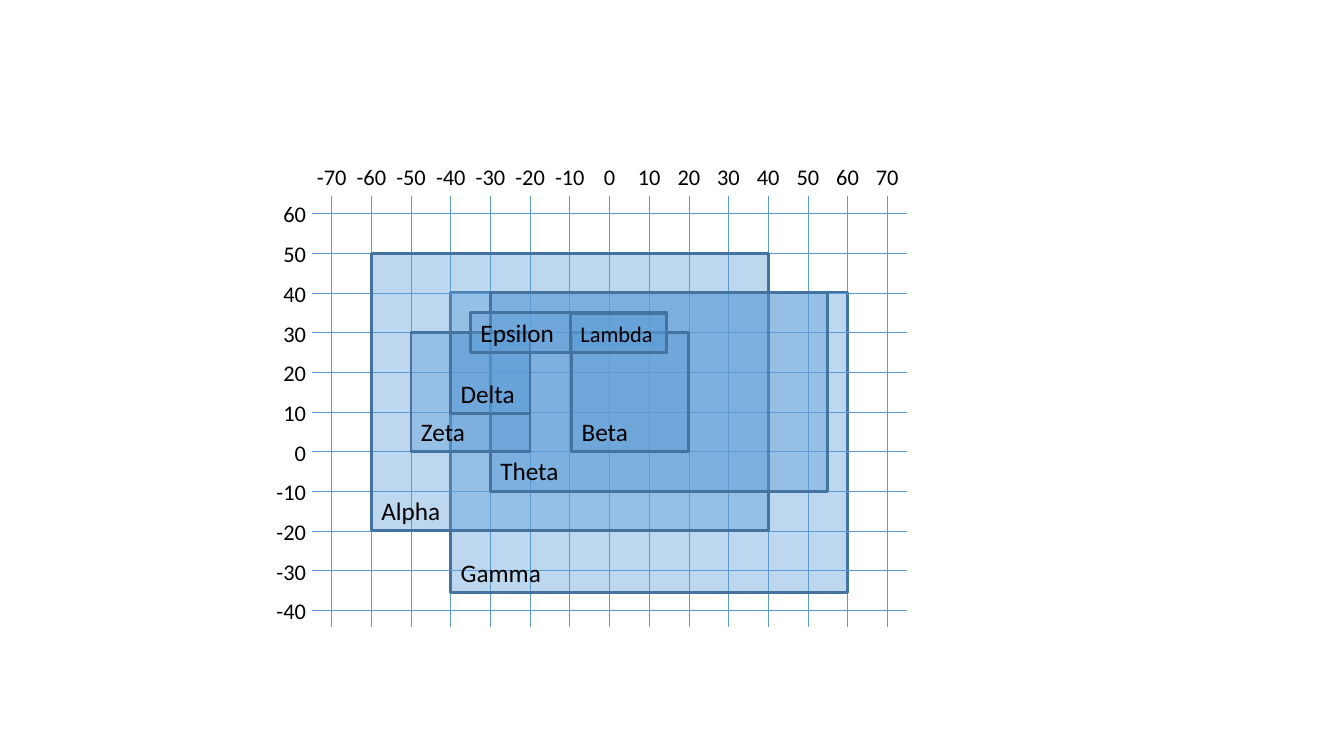
from dataclasses import dataclass

from lxml.etree import SubElement
from pptx import Presentation
from pptx.dml.color import RGBColor
from pptx.enum.shapes import MSO_CONNECTOR, MSO_SHAPE
from pptx.enum.text import MSO_AUTO_SIZE, PP_ALIGN
from pptx.oxml.ns import qn
from pptx.util import Cm, Pt


@dataclass(frozen=True)
class Theme:
    """Colours, font and sizes of the slide."""

    area: RGBColor = RGBColor(0x5B, 0x9B, 0xD5)
    border: RGBColor = RGBColor(0x43, 0x73, 0x9E)
    ink: RGBColor = RGBColor(0, 0, 0)
    font: str = "Calibri"
    axis_size: int = 16
    name_size: int = 18
    grid_width: float = 0.5
    border_width: float = 2
    opacity: int = 40


@dataclass(frozen=True)
class Region:
    """A named rectangle in grid units, with its label's width in cm."""

    name: str
    left: float
    right: float
    top: float
    bottom: float
    label_width: float


GAMMA = Region("Gamma", -40, 60, 40, -35.5, 2.57)
INNER_REGIONS = [
    Region("Alpha", -60, 40, 50, -20, 2.01),
    Region("Theta", -30, 55, 40, -10, 1.98),
    Region("Beta", -9.5, 20, 30, 0, 1.7),
    Region("Zeta", -50, -20, 30, 0, 1.63),
    Region("Delta", -40, -20, 30, 9.5, 1.88),
    Region("Epsilon", -35, 14.5, 35, 25, 2.39),
]
LAMBDA = Region("Lambda", -9.8, 14.4, 34.8, 25.1, 2.39)
COLUMNS = range(-70, 71, 10)
ROWS = range(60, -41, -10)
GRID_LEFT, GRID_RIGHT = -75, 75
GRID_TOP, GRID_BOTTOM = 64.3, -44.2
COLUMN_LABEL_WIDTHS = {1: 0.82, 2: 1.09, 3: 1.27}
LABEL_HEIGHTS = {16: 0.94, 18: 1.02}


def grid_x(value):
    """Horizontal slide position in cm of a grid value."""
    return 15.36 + value / 10


def grid_y(value):
    """Vertical slide position in cm of a grid value."""
    return 11.38 - value / 10


class GridSlide:
    """Draws grid lines, labels and regions on one slide."""

    def __init__(self, slide, theme):
        """Keep the slide and its style."""
        self.shapes = slide.shapes
        self.theme = theme

    def lines(self, segments):
        """Draw one group of grid lines."""
        group = self.shapes.add_group_shape()
        for x1, y1, x2, y2 in segments:
            grid_line = group.shapes.add_connector(
                MSO_CONNECTOR.STRAIGHT,
                Cm(grid_x(x1)), Cm(grid_y(y1)), Cm(grid_x(x2)), Cm(grid_y(y2)))
            grid_line.line.color.rgb = self.theme.area
            grid_line.line.width = Pt(self.theme.grid_width)
            SubElement(grid_line._element.spPr, qn("a:effectLst"))

    def text(self, words, left, top, width, size, align=PP_ALIGN.LEFT, wrap=False):
        """Write one line of text."""
        box = self.shapes.add_textbox(
            Cm(left), Cm(top), Cm(width), Cm(LABEL_HEIGHTS[size]))
        frame = box.text_frame
        frame.word_wrap = wrap
        frame.auto_size = MSO_AUTO_SIZE.SHAPE_TO_FIT_TEXT
        paragraph = frame.paragraphs[0]
        paragraph.text = words
        paragraph.alignment = align
        paragraph.font.name = self.theme.font
        paragraph.font.size = Pt(size)
        paragraph.font.color.rgb = self.theme.ink

    def area(self, region):
        """Draw a region's translucent rectangle."""
        rectangle = self.shapes.add_shape(
            MSO_SHAPE.RECTANGLE,
            Cm(grid_x(region.left)), Cm(grid_y(region.top)),
            Cm((region.right - region.left) / 10),
            Cm((region.top - region.bottom) / 10))
        rectangle.shadow.inherit = False
        rectangle.fill.solid()
        rectangle.fill.fore_color.rgb = self.theme.area
        colour = rectangle._element.spPr.find(qn("a:solidFill"))[0]
        SubElement(colour, qn("a:alpha"), val=str(self.theme.opacity * 1000))
        rectangle.line.color.rgb = self.theme.border
        rectangle.line.width = Pt(self.theme.border_width)

    def name(self, region, size, wrap=False):
        """Write a region's name in its lower left corner."""
        top = grid_y(region.bottom) - LABEL_HEIGHTS[size]
        self.text(region.name, grid_x(region.left), top,
                  region.label_width, size, wrap=wrap)


def main():
    """Build and save the slide."""
    theme = Theme()
    presentation = Presentation()
    presentation.slide_width, presentation.slide_height = Cm(33.87), Cm(19.05)
    grid = GridSlide(
        presentation.slides.add_slide(presentation.slide_layouts[6]), theme)

    grid.lines([(x, GRID_TOP, x, GRID_BOTTOM) for x in COLUMNS])
    grid.area(GAMMA)
    grid.lines([(GRID_LEFT, y, GRID_RIGHT, y) for y in ROWS])

    for x in COLUMNS:
        width = COLUMN_LABEL_WIDTHS[len(str(x))]
        grid.text(str(x), grid_x(x) - width / 2, 3.99, width,
                  theme.axis_size, PP_ALIGN.CENTER)
    for y in ROWS:
        grid.text(str(y), 6.71, grid_y(y) - 0.45, 1.25,
                  theme.axis_size, PP_ALIGN.RIGHT, wrap=True)

    grid.name(GAMMA, theme.name_size)
    for region in INNER_REGIONS:
        grid.area(region)
        grid.name(region, theme.name_size)
    grid.area(LAMBDA)
    grid.name(LAMBDA, theme.axis_size, wrap=True)

    presentation.save("out.pptx")


if __name__ == "__main__":
    main()
